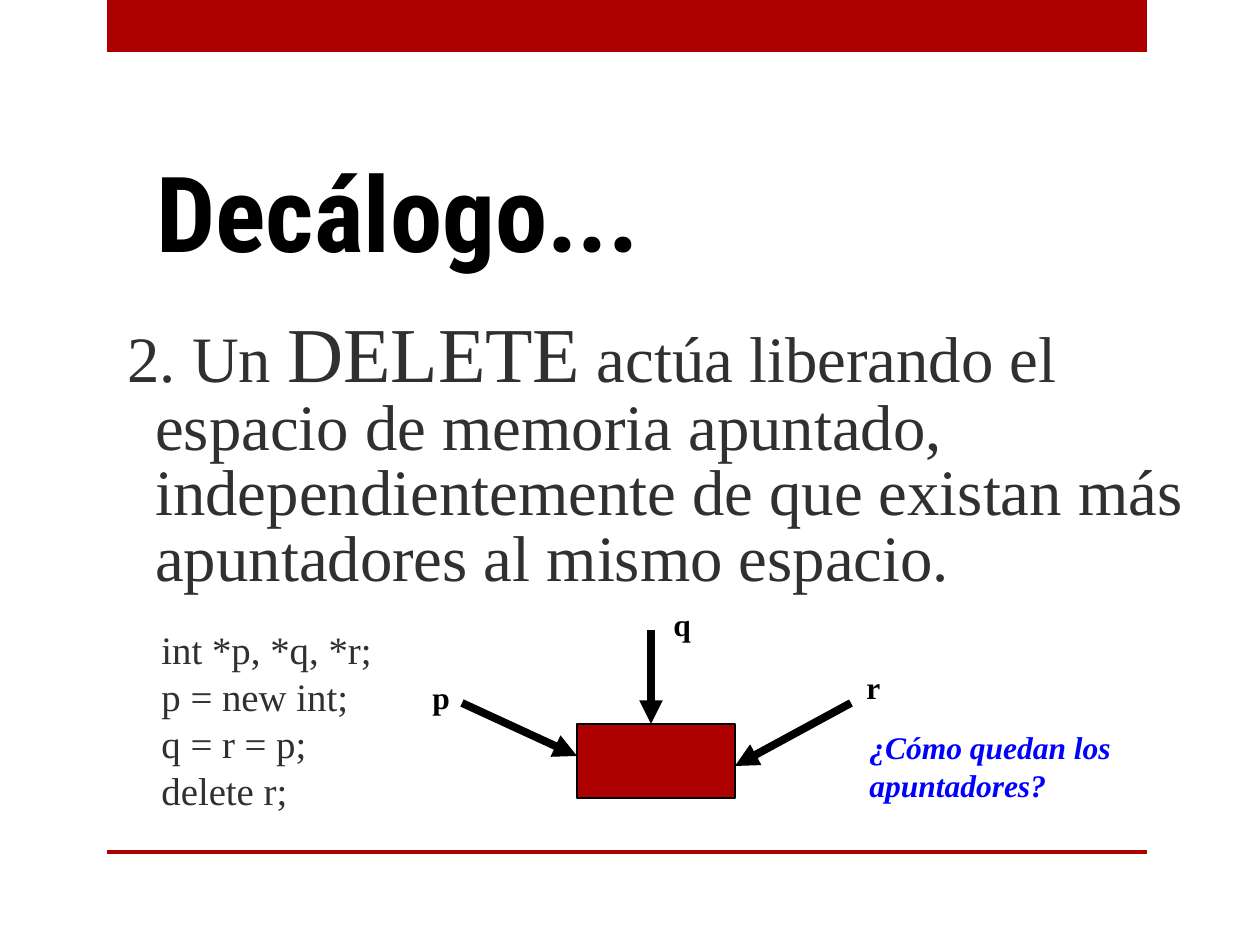
from pptx import Presentation
from pptx.dml.color import RGBColor
from pptx.enum.shapes import MSO_CONNECTOR, MSO_SHAPE
from pptx.enum.text import MSO_ANCHOR
from pptx.oxml.ns import qn
from pptx.util import Pt
from lxml.etree import SubElement

PIXEL = 914400 // 126
COLORS = {"red": "AD0101", "black": "000000", "gray": "303030", "blue": "0000FF"}
SERIF = "Times New Roman"

deck = Presentation()
deck.slide_width, deck.slide_height = 1260 * PIXEL, 945 * PIXEL
page = deck.slides.add_slide(deck.slide_layouts[6])


def color(name):
    return RGBColor.from_string(COLORS[name])


def add_text(place, paragraphs, tone, font=SERIF, bold=False, italic=False, wrap=True):
    """Each paragraph is a list of (text, size) runs."""
    frame = page.shapes.add_textbox(*[value * PIXEL for value in place]).text_frame
    frame.word_wrap = wrap
    for index, runs in enumerate(paragraphs):
        para = frame.add_paragraph() if index else frame.paragraphs[0]
        for text, size in runs:
            span = para.add_run()
            span.text = text
            span.font.size = Pt(size)
            span.font.name = font
            span.font.bold = bold
            span.font.italic = italic
            span.font.color.rgb = color(tone)
    return frame


# Top band, bottom rule and the memory cell
for place, outlined in [
    ((107, 0, 1040, 52), False),
    ((107, 850, 1040, 4), False),
    ((577, 724, 158, 74), True),
]:
    block = page.shapes.add_shape(MSO_SHAPE.RECTANGLE, *[value * PIXEL for value in place])
    block.shadow.inherit = False
    block.fill.solid()
    block.fill.fore_color.rgb = color("red")
    if outlined:
        block.line.color.rgb = color("black")
        block.line.width = Pt(1)
    else:
        block.line.fill.background()

# Title
title = add_text((144, 122, 968, 158), [[("Decálogo...", 60)]], "black",
                 font="Roboto Condensed", bold=True)
title.vertical_anchor = MSO_ANCHOR.BOTTOM

# Rule with a hanging indent
rule = add_text((115, 314, 1113, 280), [[
    ("2. Un ", 37),
    ("DELETE", 44.4),
    (" actúa liberando el espacio de memoria apuntado, independientemente de que "
     "existan más apuntadores al mismo espacio.", 37),
]], "gray")
rule.paragraphs[0].line_spacing = 0.84
properties = rule.paragraphs[0]._p.get_or_add_pPr()
properties.set("marL", str(28 * PIXEL))
properties.set("indent", str(-28 * PIXEL))

# Code
code_lines = ["int *p, *q, *r;", "p = new int;", "q = r = p;", "delete r;"]
code = add_text((149, 627, 260, 190), [[(line, 22.2)] for line in code_lines], "gray")
for index, para in enumerate(code.paragraphs):
    para.line_spacing = 0.84
    para.space_before = Pt(4.4 if index else 0)

# Pointers with their labels
for name, label_left, label_top, start, end in [
    ("p", 420, 672, (462, 703), (577, 756)),
    ("q", 661, 599, (651, 630), (651, 724)),
    ("r", 854, 662, (851, 703), (735, 766)),
]:
    arrow = page.shapes.add_connector(
        MSO_CONNECTOR.STRAIGHT, *[value * PIXEL for value in start + end])
    arrow.line.color.rgb = color("black")
    arrow.line.width = Pt(4.5)
    SubElement(arrow.line._get_or_add_ln(), qn("a:tailEnd"), type="triangle")
    SubElement(arrow._element.spPr, qn("a:effectLst"))
    add_text((label_left, label_top, 46, 50), [[(name, 18)]], "black", bold=True, wrap=False)

# Question
add_text((857, 722, 380, 90), [[("¿Cómo quedan los apuntadores?", 18)]], "blue",
         bold=True, italic=True)

deck.save("out.pptx")
